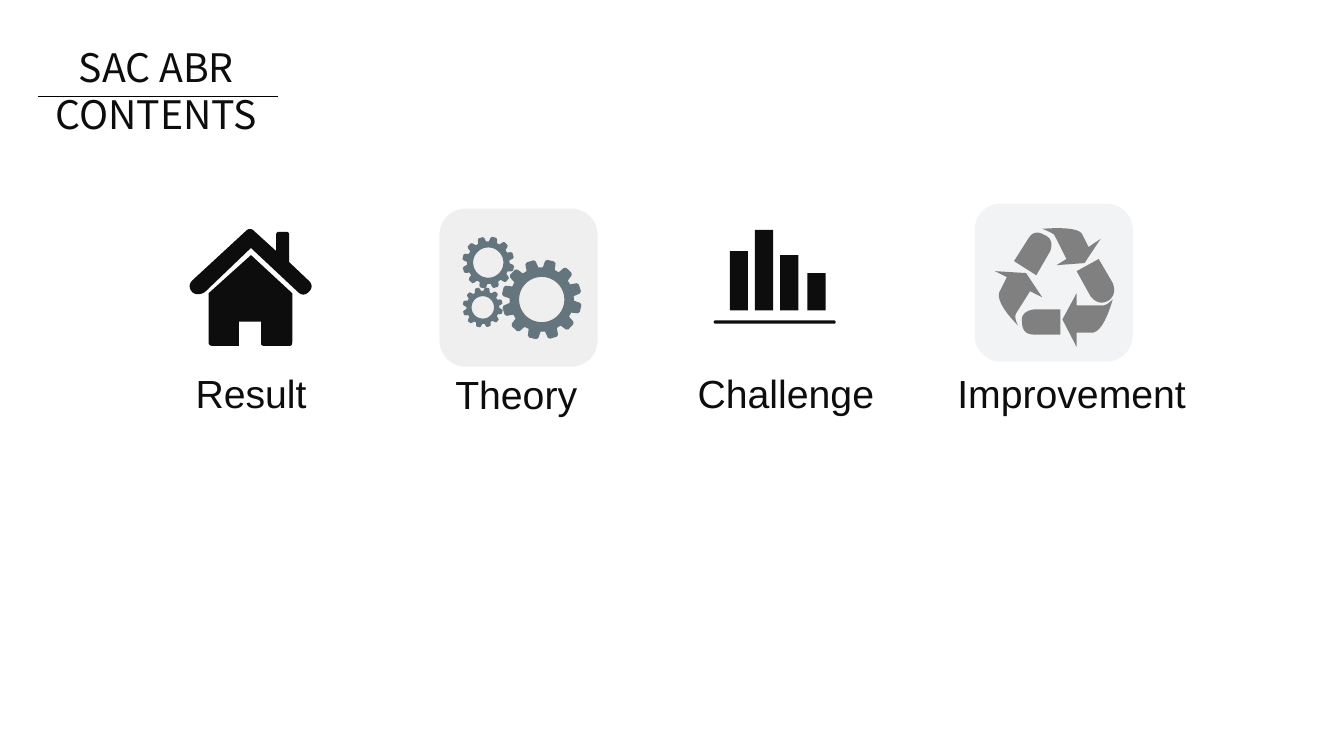
from dataclasses import dataclass
from math import cos, radians, sin

from lxml.etree import SubElement
from pptx import Presentation
from pptx.dml.color import RGBColor
from pptx.enum.shapes import MSO_CONNECTOR, MSO_SHAPE
from pptx.enum.text import MSO_ANCHOR, MSO_AUTO_SIZE, PP_ALIGN
from pptx.oxml.ns import qn
from pptx.shapes.autoshape import Shape
from pptx.slide import Slide
from pptx.text.text import TextFrame
from pptx.util import Pt

COLORS = {
    "ink": "0D0D0D",
    "rule": "000000",
    "gear": "65757D",
    "gear tile": "D9D9D9",
    "arrow": "808080",
    "arrow tile": "DFE3E5",
}
UNITS_PER_POINT = 100
TILE_SIZE = 113
LABEL_HEIGHT = 37.4
BARS_BOTTOM = 221.8
BAR_WIDTH = 13
Outline = list[tuple[float, ...]]


@dataclass(frozen=True)
class Label:
    text: str
    left: float
    top: float
    width: float


@dataclass(frozen=True)
class Tile:
    left: float
    top: float
    color: str


@dataclass(frozen=True)
class Bar:
    left: float
    height: float


@dataclass(frozen=True)
class Gear:
    center_x: float
    center_y: float
    tip: float
    root: float
    hole: float


LABELS = [
    Label("Result", 115.2, 262.1, 128.2),
    Label("Theory", 304.6, 262.8, 128.2),
    Label("Challenge", 491.8, 262.1, 139),
    Label("Improvement", 654.5, 262.1, 221.8),
]
TILES = [Tile(313.9, 149, "gear tile"), Tile(696.2, 145.4, "arrow tile")]
BARS = [Bar(521.3, 42.5), Bar(539.3, 57.6), Bar(557.3, 39.6), Bar(576.7, 26.6)]
GEARS = [
    Gear(387, 214, 28.6, 23, 16.2),
    Gear(348.8, 187.6, 18.6, 15.2, 10.8),
    Gear(344.9, 219.6, 14.4, 11.8, 8),
]

# A pair is a corner; four numbers are a curve's control point and end.
HOUSE: list[Outline] = [
    [(149, 209.5), (149, 244), (149, 247, 151.2, 247), (170.6, 247),
     (170.6, 229.7), (186.5, 229.7), (186.5, 246.2), (187.9, 247), (207.4, 247),
     (208.8, 247, 208.8, 244), (208.8, 209.5), (179.3, 182.2)],
    [(220.3, 200.2), (206.6, 187.2), (206.6, 167.8),
     (206.6, 165.6, 204.5, 165.6), (199.4, 165.6),
     (197.3, 165.6, 197.3, 167.8), (197.3, 179.3), (182.2, 165.6),
     (178.6, 161.5, 175, 165.6), (137.5, 200.2), (133.5, 204.5, 137.5, 208.8),
     (141, 211.5, 146.2, 208.8), (179.3, 177.1), (213.1, 208.8),
     (216.7, 212, 220.3, 208.8), (225, 204.5, 220.3, 200.2)],
]
RECYCLING: list[Outline] = [
    [(794.9, 213.8), (790.6, 218.2, 787.7, 218.2), (769, 218.2), (769, 209.5),
     (758.9, 228.2), (769, 247.7), (769, 237.6), (779, 237.6),
     (787.5, 239, 794.9, 213.8)],
    [(769, 193.7), (784.8, 185), (794.9, 202.3), (797.8, 210.2, 792, 214.6),
     (784.8, 218.9, 779, 211.7)],
    [(727.2, 232.6), (724.3, 226.8, 725.8, 223.9), (735.8, 208.1),
     (744.5, 212.4), (733, 195.1), (710.6, 193.7), (719.3, 198), (715, 206.6),
     (709, 214, 727.2, 232.6)],
    [(757.4, 221), (757.4, 239), (738.7, 239), (730.1, 239, 730.1, 230.4),
     (728.6, 222.5, 738.7, 221)],
    [(744.5, 163.4), (751.7, 166.3, 753.1, 167.8), (761.8, 185),
     (754.6, 189.4), (774.7, 187.9), (786.2, 170.6), (777.6, 176.4),
     (773.3, 167.8), (771, 161.5, 744.5, 163.4)],
    [(740.2, 196.6), (724.3, 186.5), (734.4, 170.6),
     (738.7, 163.4, 745.9, 167.8), (753.1, 170.6, 750.2, 179.3)],
]


def color_of(name: str) -> RGBColor:
    return RGBColor.from_string(COLORS[name])


def paint(shape: Shape, color: str) -> None:
    shape.shadow.inherit = False
    shape.fill.solid()
    shape.fill.fore_color.rgb = color_of(color)
    shape.line.fill.background()


def flatten(outline: Outline, steps: int = 8) -> Outline:
    """Turn the quadratic curves of an outline into short straight pieces."""
    points: Outline = []
    for *control, x, y in outline:
        if control:
            (start_x, start_y), (bend_x, bend_y) = points[-1], control
            for step in range(1, steps):
                t = step / steps
                a, b, c = (1 - t) ** 2, 2 * t * (1 - t), t * t
                points.append((a * start_x + b * bend_x + c * x,
                               a * start_y + b * bend_y + c * y))
        points.append((x, y))
    return points


def ring(gear: Gear, stops: list[tuple[float, float]]) -> Outline:
    """Place (angle, radius) stops around the centre of a gear."""
    return [(gear.center_x + radius * cos(radians(angle)),
             gear.center_y + radius * sin(radians(angle)))
            for angle, radius in stops]


def gear_contours(gear: Gear, teeth: int = 12, phase: float = 13) -> list[Outline]:
    tooth = [(-11, gear.root), (-8, gear.tip - 1), (-5, gear.tip),
             (5, gear.tip), (8, gear.tip - 1), (11, gear.root)]
    rim = [(phase + index * 360 / teeth + turn, radius)
           for index in range(teeth) for turn, radius in tooth]
    hole = [(angle, gear.hole) for angle in range(360, 0, -10)]
    return [ring(gear, rim), ring(gear, hole)]


def draw_contours(slide: Slide, contours: list[Outline], color: str) -> None:
    scaled = [[(x * UNITS_PER_POINT, y * UNITS_PER_POINT) for x, y in contour]
              for contour in contours]
    builder = slide.shapes.build_freeform(*scaled[0][0], scale=Pt(1) / UNITS_PER_POINT)
    builder.add_line_segments(scaled[0][1:])
    for contour in scaled[1:]:
        builder.move_to(*contour[0])
        builder.add_line_segments(contour[1:])
    paint(builder.convert_to_shape(), color)


def draw_preset(slide: Slide, kind: MSO_SHAPE, left: float, top: float,
                width: float, height: float, color: str) -> Shape:
    shape = slide.shapes.add_shape(kind, Pt(left), Pt(top), Pt(width), Pt(height))
    paint(shape, color)
    return shape


def draw_tile(slide: Slide, tile: Tile) -> None:
    shape = draw_preset(slide, MSO_SHAPE.ROUNDED_RECTANGLE, tile.left, tile.top,
                        TILE_SIZE, TILE_SIZE, tile.color)
    fill_color = shape.fill._xPr.find(qn("a:solidFill"))[0]
    SubElement(fill_color, qn("a:alpha")).set("val", "40000")


def write_lines(frame: TextFrame, lines: list[str], font: str,
                side: float, edge: float) -> None:
    frame.word_wrap = True
    frame.auto_size = MSO_AUTO_SIZE.NONE
    frame.vertical_anchor = MSO_ANCHOR.TOP
    frame.margin_left = frame.margin_right = Pt(side)
    frame.margin_top = frame.margin_bottom = Pt(edge)
    frame.text = "\n".join(lines)
    for para in frame.paragraphs:
        para.alignment = PP_ALIGN.CENTER
        para.font.name = font
        para.font.size = Pt(28)
        para.font.color.rgb = color_of("ink")


def draw_heading(slide: Slide) -> None:
    title = slide.shapes.title
    title.left, title.top, title.width, title.height = Pt(21.6), Pt(28.1), Pt(180), Pt(141)
    write_lines(title.text_frame, ["SAC ABR", "CONTENTS"], "Noto Sans CJK SC", 5, 2.9)
    rule = slide.shapes.add_connector(MSO_CONNECTOR.STRAIGHT, Pt(27.4), Pt(69.1),
                                      Pt(198.7), Pt(69.1))
    rule.line.color.rgb = color_of("rule")
    rule.line.width = Pt(0.5)
    SubElement(rule._element.spPr, qn("a:effectLst"))


def draw_label(slide: Slide, label: Label) -> None:
    box = slide.shapes.add_textbox(Pt(label.left), Pt(label.top),
                                   Pt(label.width), Pt(LABEL_HEIGHT))
    write_lines(box.text_frame, [label.text], "Arial", 3.6, 2)


def main() -> None:
    deck = Presentation()
    deck.slide_width, deck.slide_height = Pt(960), Pt(540)
    page = deck.slides.add_slide(deck.slide_layouts[5])
    draw_heading(page)
    for tile in TILES:
        draw_tile(page, tile)
    for outline in HOUSE:
        draw_contours(page, [flatten(outline)], "ink")
    for gear in GEARS:
        draw_contours(page, gear_contours(gear), "gear")
    for bar in BARS:
        draw_preset(page, MSO_SHAPE.RECTANGLE, bar.left, BARS_BOTTOM - bar.height,
                    BAR_WIDTH, bar.height, "ink")
    base = draw_preset(page, MSO_SHAPE.ROUNDED_RECTANGLE, 509.8, 228.8, 87.1, 2.4, "ink")
    base.adjustments[0] = 0.5
    for outline in RECYCLING:
        draw_contours(page, [flatten(outline)], "arrow")
    for label in LABELS:
        draw_label(page, label)
    deck.save("out.pptx")


if __name__ == "__main__":
    main()
